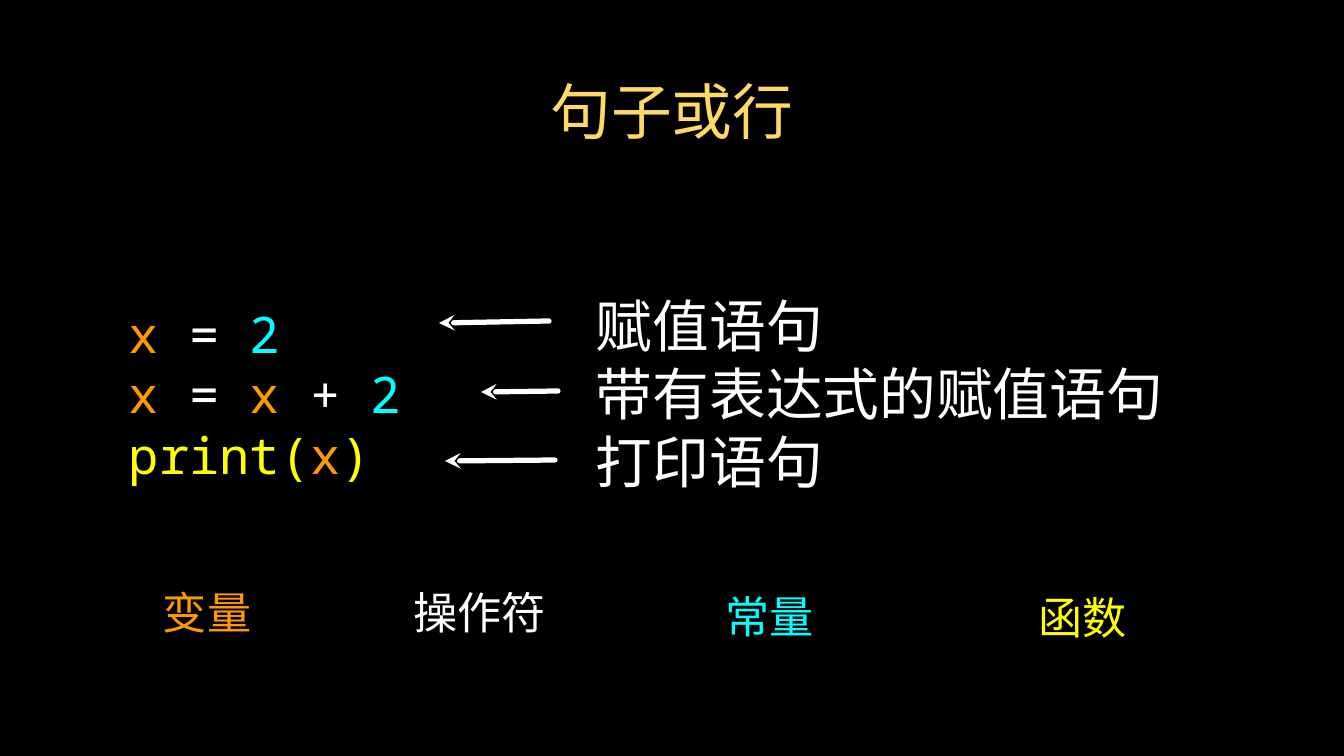
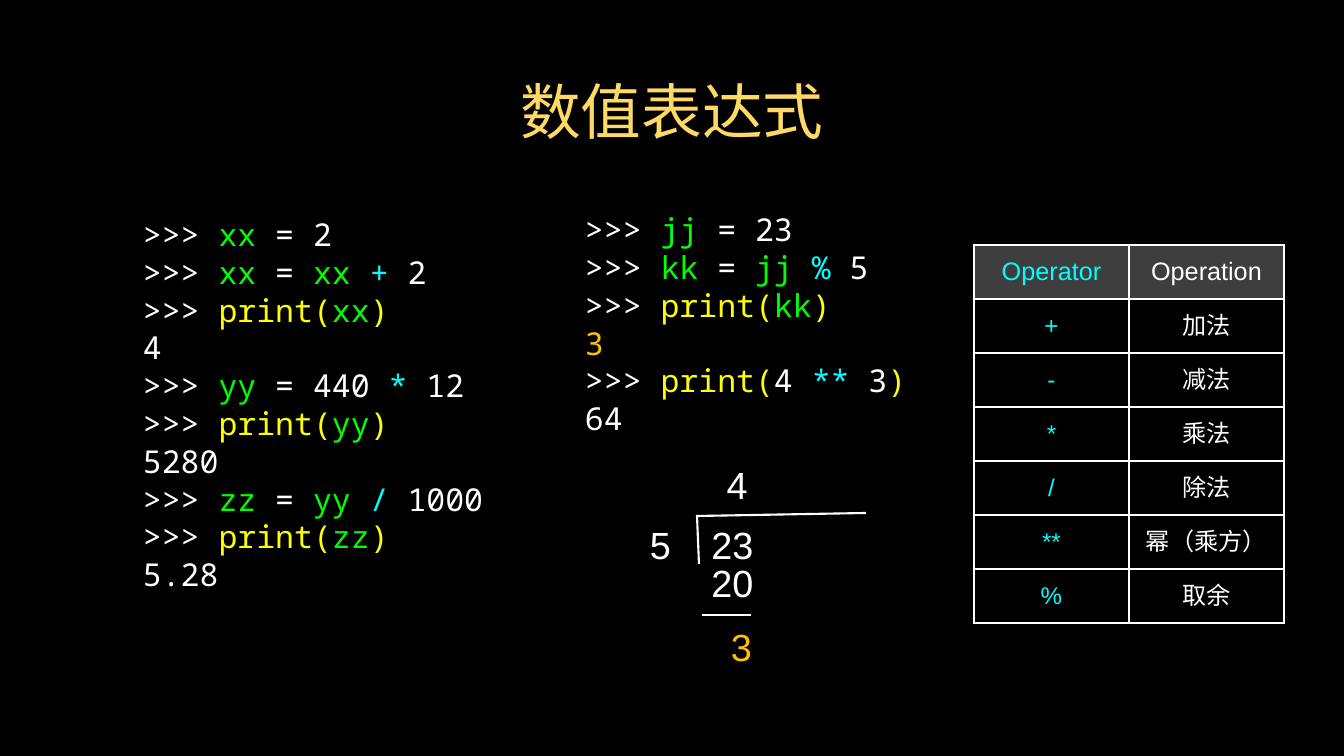
from pptx import Presentation, util as u
from pptx.dml.color import RGBColor
from pptx.enum import shapes, text
from pptx.oxml import ns
from lxml import etree

SCALE = 914400 / 75.6
PAGE_SIZE = (1344, 756)
COLORS = {
    "back": "000000", "title": "FFD966", "plain": "FFFFFF",
    "variable": "FF9900", "constant": "00FFFF", "function": "FFFF00",
    "name": "00FF00", "last_name": "00FA00", "operator": "00FFFF",
    "result": "FFC000", "header": "7F7F7F",
}
SANS, MONO = "Arial", "Noto Sans Mono"
TITLE_AREA = (67, 65, 1210, 91)
LINE_PITCH = 1.2
PROMPT = ("plain", ">>> ")

# Slide 1: sentences or lines
STATEMENTS = [
    [("variable", "x "), ("plain", "= "), ("constant", "2")],
    [("variable", "x "), ("plain", "= "), ("variable", "x "),
     ("plain", "+ "), ("constant", "2")],
    [("function", "print("), ("variable", "x"), ("function", ")")],
]
MEANINGS = ["赋值语句", "带有表达式的赋值语句", "打印语句"]
LEGEND = [
    ("变量", "variable", (110, 581, 194, 62)),
    ("操作符", "plain", (389, 581, 181, 62)),
    ("常量", "constant", (668, 585, 203, 62)),
    ("函数", "function", (958, 586, 249, 62)),
]
ARROWS = [(439, 323, 549, 321), (481, 392, 558, 391), (445, 461, 555, 460)]


# Slide 2: numeric expressions
def print_call(name, color="name"):
    """Return the runs of a prompt that prints one variable."""
    return [PROMPT, ("function", "print("), (color, name), ("function", ")")]


LEFT_SESSION = [
    [PROMPT, ("name", "xx"), ("plain", " = 2")],
    [PROMPT, ("name", "xx"), ("plain", " = "), ("name", "xx "),
     ("operator", "+"), ("plain", " 2")],
    print_call("xx"),
    [("plain", "4")],
    [PROMPT, ("name", "yy"), ("plain", " = 440 "), ("operator", "*"),
     ("plain", " 12")],
    print_call("yy"),
    [("plain", "5280")],
    [PROMPT, ("name", "zz"), ("plain", " = "), ("name", "yy "),
     ("operator", "/"), ("plain", " 1000")],
    print_call("zz", "last_name"),
    [("plain", "5.28")],
]
RIGHT_SESSION = [
    [("plain", ">>>"), ("name", " jj"), ("plain", " = 23")],
    [PROMPT, ("name", "kk"), ("plain", " = "), ("name", "jj "),
     ("operator", "% "), ("plain", "5")],
    print_call("kk"),
    [("result", "3")],
    [PROMPT, ("function", "print("), ("plain", "4 "), ("operator", "**"),
     ("plain", " 3"), ("function", ")")],
    [("plain", "64")],
]
OPERATORS = [
    ("Operator", "Operation"), ("+", "加法"), ("-", "减法"), ("*", "乘法"),
    ("/", "除法"), ("**", "幂（乘方）"), ("%", "取余"),
]
TABLE_CORNER, CELL_SIZE = (974, 245), (155, 54)
DIVISION = [
    ("5", "plain", (646, 523, 29, 43)),
    ("23", "plain", (709, 523, 47, 43)),
    ("4 ", "plain", (697, 463, 91, 43)),
    ("20", "plain", (709, 561, 47, 43)),
    ("3", "result", (727, 625, 29, 43)),
]
DIVISION_LINES = [(697, 515, 699, 564), (697, 516, 866, 513),
                  (702, 615, 751, 615)]


def px(*values):
    """Turn pixels into EMU."""
    return [u.Emu(round(value * SCALE)) for value in values]


def rgb(color):
    """Look up a named colour."""
    return RGBColor.from_string(COLORS[color])


def write(frame, lines, size, font=SANS, center=True, pitch=None):
    """Fill a text frame with lines of (colour, text) runs."""
    for index, line in enumerate(lines):
        para = frame.paragraphs[0] if index == 0 else frame.add_paragraph()
        para.alignment = text.PP_ALIGN.CENTER if center else text.PP_ALIGN.LEFT
        if pitch:
            para.line_spacing = u.Pt(round(size * pitch, 1))
        for color, words in line:
            span = para.add_run()
            span.text = words
            span.font.size = u.Pt(size)
            span.font.name = font
            span.font.color.rgb = rgb(color)
            east = etree.SubElement(span.font._element, ns.qn("a:ea"))
            east.set("typeface", font)


def set_margins(target, margin):
    """Give a frame or cell the same inset on all sides."""
    target.margin_left = target.margin_right = margin
    target.margin_top = target.margin_bottom = margin


def add_text(page, area, lines, size, **style):
    """Add a text box without insets, centred vertically."""
    box = page.shapes.add_textbox(*px(*area))
    frame = box.text_frame
    frame.word_wrap = True
    frame.auto_size = text.MSO_AUTO_SIZE.SHAPE_TO_FIT_TEXT
    frame.vertical_anchor = text.MSO_ANCHOR.MIDDLE
    set_margins(frame, 0)
    write(frame, lines, size, **style)


def add_line(page, ends, width, arrow=False):
    """Draw a white line, with an arrowhead at its start if asked."""
    line = page.shapes.add_connector(shapes.MSO_CONNECTOR.STRAIGHT, *px(*ends))
    line.line.color.rgb = rgb("plain")
    line.line.width = u.Pt(width)
    if arrow:
        outline = line.line._get_or_add_ln()
        outline.set("cap", "rnd")
        etree.SubElement(outline, ns.qn("a:headEnd")).set("type", "stealth")
    etree.SubElement(line._element.spPr, ns.qn("a:effectLst"))


def add_page(deck, title):
    """Add a title-only slide with the shared title style."""
    page = deck.slides.add_slide(deck.slide_layouts[5])
    box = page.shapes.title
    box.left, box.top, box.width, box.height = px(*TITLE_AREA)
    frame = box.text_frame
    frame.auto_size = text.MSO_AUTO_SIZE.NONE
    frame.vertical_anchor = text.MSO_ANCHOR.MIDDLE
    set_margins(frame, u.Inches(0.04))
    write(frame, [[("title", title)]], 57.8)
    return page


def add_borders(cell):
    """Put white borders around a cell."""
    props = cell._tc.get_or_add_tcPr()
    for side in ("lnL", "lnR", "lnT", "lnB"):
        edge = etree.SubElement(props, ns.qn("a:" + side), w=str(u.Pt(2)))
        fill = etree.SubElement(edge, ns.qn("a:solidFill"))
        etree.SubElement(fill, ns.qn("a:srgbClr"), val=COLORS["plain"])


def add_operator_table(page):
    """Add the table of operators and their meanings."""
    width, height = CELL_SIZE
    rows, columns = len(OPERATORS), len(OPERATORS[0])
    area = (*TABLE_CORNER, width * columns, height * rows)
    table = page.shapes.add_table(rows, columns, *px(*area)).table
    table.first_row = table.horz_banding = False
    for column in table.columns:
        column.width = px(width)[0]
    for r, row in enumerate(OPERATORS):
        table.rows[r].height = px(height)[0]
        for c, words in enumerate(row):
            cell = table.cell(r, c)
            set_margins(cell, u.Inches(0.04))
            cell.vertical_anchor = text.MSO_ANCHOR.MIDDLE
            add_borders(cell)
            if r == 0:
                cell.fill.solid()
                cell.fill.fore_color.rgb = rgb("header")
                tone = cell._tc.tcPr.find(
                    ns.qn("a:solidFill")).find(ns.qn("a:srgbClr"))
                etree.SubElement(tone, ns.qn("a:alpha"), val="49000")
            else:
                cell.fill.background()
            color = "plain" if c else "operator"
            write(cell.text_frame, [[(color, words)]], 23 if r else 24)


def build_statements(deck):
    """Build the slide on statements."""
    page = add_page(deck, "句子或行")
    add_text(page, (129, 302, 331, 183), STATEMENTS, 48, font=MONO,
             center=False, pitch=LINE_PITCH)
    for words, color, area in LEGEND:
        add_text(page, area, [[(color, words)]], 42)
    add_text(page, (596, 274, 728, 237),
             [[("plain", words)] for words in MEANINGS], 54,
             center=False, pitch=LINE_PITCH)
    for ends in ARROWS:
        add_line(page, ends, 5, arrow=True)


def build_expressions(deck):
    """Build the slide on numeric expressions."""
    page = add_page(deck, "数值表达式")
    for area, session in [((143, 215, 369, 378), LEFT_SESSION),
                          ((585, 210, 333, 227), RIGHT_SESSION)]:
        add_text(page, area, session, 30, font=MONO, center=False,
                 pitch=LINE_PITCH)
    add_operator_table(page)
    for ends in DIVISION_LINES:
        add_line(page, ends, 2)
    for digits, color, area in DIVISION:
        add_text(page, area, [[(color, digits)]], 36)


deck = Presentation()
deck.slide_width, deck.slide_height = px(*PAGE_SIZE)
backdrop = deck.slide_master.background.fill
backdrop.solid()
backdrop.fore_color.rgb = rgb("back")
build_statements(deck)
build_expressions(deck)
deck.save("out.pptx")
